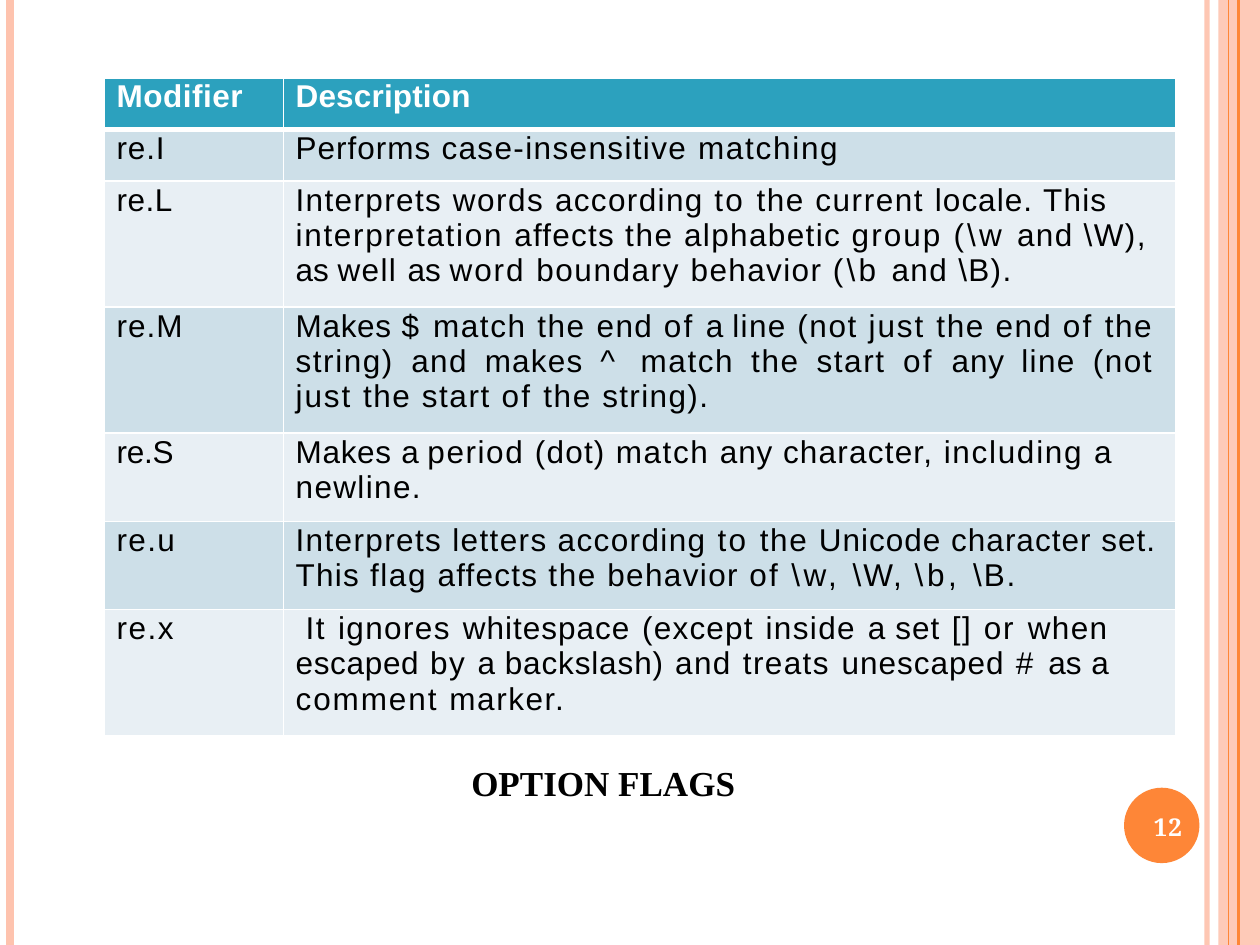
"""Build the slide listing the regular expression option flags."""
from itertools import groupby

from lxml.etree import SubElement
from pptx import Presentation
from pptx.dml.color import RGBColor
from pptx.enum.shapes import MSO_CONNECTOR, MSO_SHAPE
from pptx.enum.text import MSO_ANCHOR, PP_ALIGN
from pptx.oxml.ns import qn
from pptx.util import Cm, Pt

COLORS = {"white": "FFFFFF", "black": "000000", "peach": "FEC3AE", "orange": "FE8637",
          "header": "2CA1BE", "dark": "CDDFE8", "light": "E8EFF4"}
ROWS = [
    ("Modifier", "Description", 1.04),
    ("re.I", "Performs case-insensitive matching", 1.04),
    ("re.L", r"Interprets words according to the current locale. This interpretation affects "
             r"the alphabetic group (\w and \W), as well as word boundary behavior (\b and \B).", 2.54),
    ("re.M", "Makes $ match the end of a line (not just the end of the string) and makes ^ "
             "match the start of any line (not just the start of the string).", 2.54),
    ("re.S", "Makes a period (dot) match any character, including a\nnewline.", 1.78),
    ("re.u", r"Interprets letters according to the Unicode character set. "
             r"This flag affects the behavior of \w, \W, \b, \B.", 1.78),
    ("re.x", "It ignores whitespace (except inside a set [] or when escaped by a backslash) "
             "and treats unescaped # as a comment marker.", 2.54),
]
COLUMNS = (3.61, 17.98)
JUSTIFIED = {"re.M": {"marR": Cm(0.45)}, "re.x": {"marR": Cm(1.35), "indent": Cm(0.2)}}
DEFAULT_SPACING = 0.8
SPACING_WORDS = {
    -0.1: "a re.S", 0: "as", 0.1: "Description", 0.3: "Modifier re.L",
    0.4: "Makes escaped", 0.5: "re.I any backslash)",
    0.6: "re.M Performs locale. Unicode character set. whitespace set unescaped",
    0.7: "This affects makes (dot) character, (except",
    0.9: "words the current boundary match (not string) start period flag re.x It marker.",
    1: "matching interpretation including", 1.1: r"word just \W, \B. or comment",
    1.2: "group", 1.3: "of", 1.4: "to $ #", 1.8: r"(\w", 1.9: r"(\b",
    2: r"\w,", 2.1: r"\b,", 2.9: "^",
}
SPACING = {word: points for points, words in SPACING_WORDS.items() for word in words.split()}
RULES = [(24.33, "peach", 3, 93), (0.2, "peach", 4.5, 100),
         (24.97, "orange", 1.5, 100), (24.77, "orange", 0.75, 100)]
CELL_FONT = {"size": Pt(18), "name": "Arial"}
TITLE_FONT = {"size": Pt(20), "name": "Times New Roman", "bold": True}
NUMBER_FONT = {"size": Pt(14), "name": "Noto Serif", "bold": True}


def rgb(name):
    return RGBColor.from_string(COLORS[name])


def set_all(target, values):
    for name, value in values.items():
        setattr(target, name, value)


def set_alpha(shape, percent):
    for color in shape._element.spPr.iter(qn("a:srgbClr")):
        SubElement(color, qn("a:alpha")).set("val", str(percent * 1000))


def add_span(para, text, font, color, spacing=0):
    span = para.add_run()
    span.text = text
    set_all(span.font, font)
    span.font.color.rgb = rgb(color)
    span._r.get_or_add_rPr().set("spc", str(round(spacing * 100)))


def add_words(para, text, bold, color):
    words = text.split()
    groups = [(key, list(group)) for key, group in
              groupby(words, lambda word: SPACING.get(word, DEFAULT_SPACING))]
    for number, (spacing, group) in enumerate(groups, 1):
        ending = " " if number < len(groups) else ""
        add_span(para, " ".join(group) + ending, {**CELL_FONT, "bold": bold}, color, spacing)


def add_borders(cell, top, bottom):
    properties = cell._tc.get_or_add_tcPr()
    for side, width in (("L", 1), ("R", 1), ("T", top), ("B", bottom)):
        line = SubElement(properties, qn(f"a:ln{side}"), w=str(Pt(width)))
        fill = SubElement(line, qn("a:solidFill"))
        SubElement(fill, qn("a:srgbClr"), val=COLORS["white"])


def fill_cell(cell, text, row, layout):
    add_borders(cell, 3 if row == 1 else 1, 3 if row == 0 else 1)
    cell.fill.solid()
    cell.fill.fore_color.rgb = rgb("header" if row == 0 else "dark" if row % 2 else "light")
    set_all(cell, {"margin_left": 0, "margin_right": 0, "margin_top": Cm(0.03), "margin_bottom": 0})
    for number, line in enumerate(text.split("\n")):
        para = cell.text_frame.add_paragraph() if number else cell.text_frame.paragraphs[0]
        para.space_before = Pt(0 if number else 1)
        para.alignment = PP_ALIGN.JUSTIFY if layout else PP_ALIGN.LEFT
        for name, value in {"marL": Cm(0.24), **layout}.items():
            para._p.get_or_add_pPr().set(name, str(value))
        add_words(para, line, row == 0, "black" if row else "white")


def add_rule(page, left, color, width, alpha):
    rule = page.shapes.add_connector(MSO_CONNECTOR.STRAIGHT, Cm(left), 0, Cm(left), Cm(19.05))
    rule.line.color.rgb = rgb(color)
    rule.line.width = Pt(width)
    set_alpha(rule, alpha)
    SubElement(rule._element.spPr, qn("a:effectLst"))


def add_filled(page, kind, place, color):
    shape = page.shapes.add_shape(kind, *map(Cm, place))
    shape.shadow.inherit = False
    shape.fill.solid()
    shape.fill.fore_color.rgb = rgb(color)
    shape.line.fill.background()
    return shape


def write_box(box, place, text, font, color, anchor, alignment, before, spacing=0):
    set_all(box, dict(zip(("left", "top", "width", "height"), map(Cm, place))))
    frame = box.text_frame
    set_all(frame, {"word_wrap": True, "vertical_anchor": anchor, "margin_left": Cm(0.03),
                    "margin_right": 0, "margin_top": Cm(0.03), "margin_bottom": 0})
    para = frame.paragraphs[0]
    set_all(para, {"alignment": alignment, "space_before": Pt(before), "line_spacing": 1.0})
    add_span(para, text, font, color, spacing)


deck = Presentation()
deck.slide_width, deck.slide_height = Cm(25.4), Cm(19.05)
page = deck.slides.add_slide(deck.slide_layouts[5])

for rule in RULES:
    add_rule(page, *rule)
band = add_filled(page, MSO_SHAPE.RECTANGLE, (24.56, 0, 0.84, 19.05), "peach")
set_alpha(band, 87)
for rule in RULES[2:]:
    page.shapes._spTree.append(page.shapes._spTree.findall(qn("p:cxnSp"))[2])
add_filled(page, MSO_SHAPE.OVAL, (22.66, 15.88, 1.52, 1.52), "orange")

height = sum(row[2] for row in ROWS)
table = page.shapes.add_table(len(ROWS), len(COLUMNS), Cm(2.11), Cm(1.57),
                              Cm(sum(COLUMNS)), Cm(height)).table
for column, width in zip(table.columns, COLUMNS):
    column.width = Cm(width)
for row, (modifier, description, row_height) in enumerate(ROWS):
    table.rows[row].height = Cm(row_height)
    fill_cell(table.cell(row, 0), modifier, row, {})
    fill_cell(table.cell(row, 1), description, row, JUSTIFIED.get(modifier, {}))

number_box = page.shapes.add_textbox(0, 0, 0, 0)
write_box(number_box, (22.68, 15.93, 1.7, 1.45), "12", NUMBER_FONT, "white",
          MSO_ANCHOR.MIDDLE, PP_ALIGN.CENTER, 1.9, 0.7)
write_box(page.shapes.title, (9.47, 15.32, 5.6, 0.91), "OPTION FLAGS", TITLE_FONT, "black",
          MSO_ANCHOR.TOP, PP_ALIGN.LEFT, 1)
deck.save("out.pptx")
